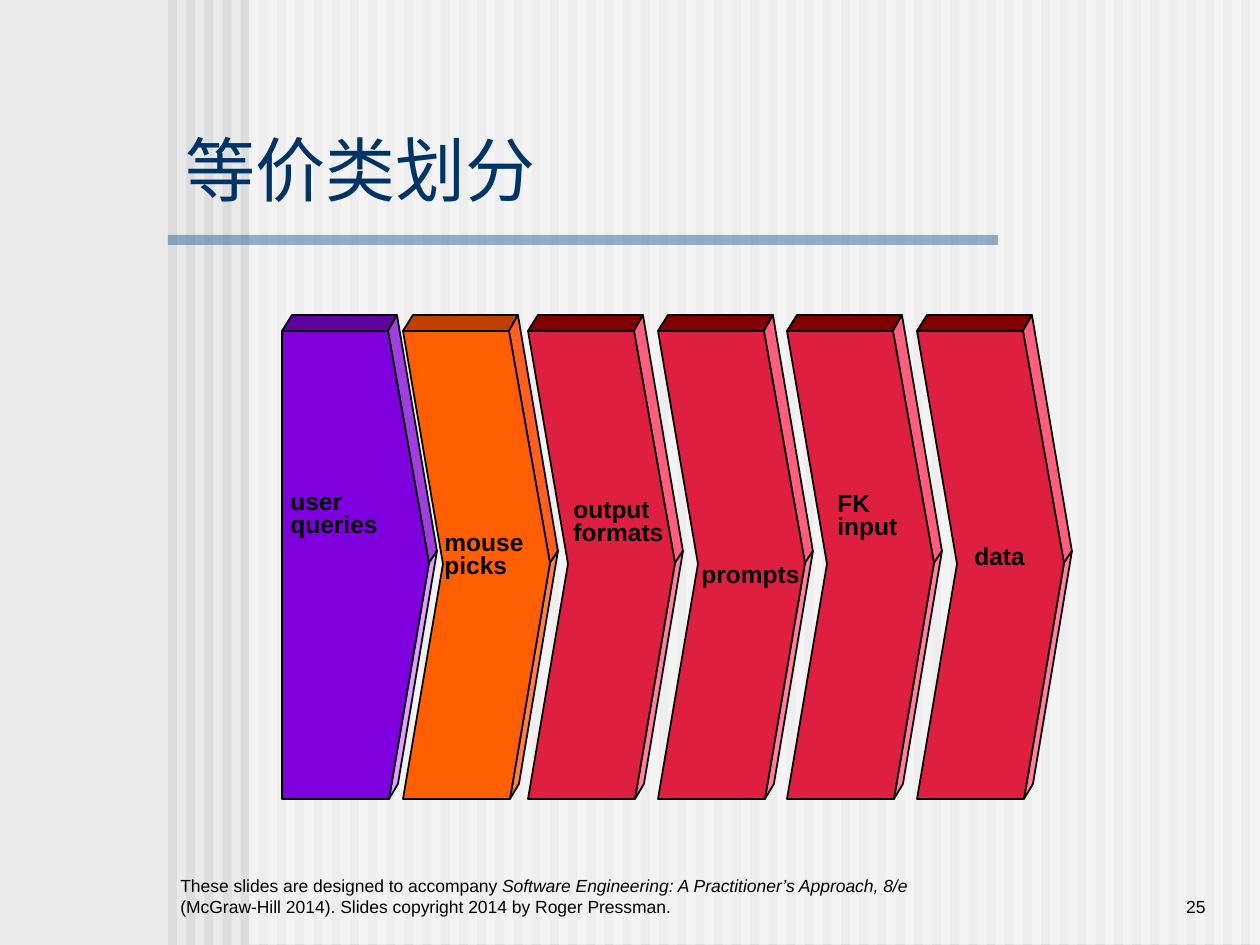
"""Build the equivalence partitioning slide with its row of solid chevrons."""
from lxml.etree import SubElement
from pptx import Presentation
from pptx.dml.color import RGBColor
from pptx.enum.shapes import MSO_SHAPE
from pptx.enum.text import MSO_ANCHOR, MSO_AUTO_SIZE, PP_ALIGN
from pptx.oxml.ns import qn
from pptx.util import Pt

PX = 914400 / 126
WIDTH, HEIGHT = 1260, 945
FONT = "Arial"

BLACK = RGBColor(0x00, 0x00, 0x00)
WHITE = RGBColor(0xFF, 0xFF, 0xFF)
BACKDROP = RGBColor(0xEA, 0xEA, 0xEA)
STRIPE = RGBColor(0xDD, 0xDD, 0xDD)
RULE = RGBColor(0x33, 0x66, 0x99)
NAVY = RGBColor(0x00, 0x33, 0x66)

PURPLE = [RGBColor.from_string(c) for c in ("5F009F", "9F3FDF", "DF9FFF", "7F00DF")]
ORANGE = [RGBColor.from_string(c) for c in ("BF3F00", "FF5F1F", "FF7F3F", "FF5F00")]
RED = [RGBColor.from_string(c) for c in ("800000", "FF5F7F", "FF7F9F", "DF1F3F")]

TITLE = "等价类划分"
CREDIT = [
    ("These slides are designed to accompany ", False),
    ("Software Engineering: A Practitioner’s Approach, 8/e ", True),
    ("(McGraw-Hill 2014). Slides copyright 2014 by Roger Pressman.", False),
]
PAGE_NUMBER = [("25", False)]

CHEVRONS = [
    (282, PURPLE, 0),
    (403, ORANGE, 40),
    (528, RED, 40),
    (658, RED, 40),
    (787, RED, 40),
    (917, RED, 40),
]
LABELS = [
    ("user\nqueries", (278, 485, 116, 59)),
    ("mouse\npicks", (432, 526, 107, 59)),
    ("output\nformats", (561, 493, 119, 59)),
    ("prompts", (689, 558, 126, 36)),
    ("FK\ninput", (825, 487, 88, 59)),
    ("data", (962, 540, 78, 36)),
]

STRIPE_COUNT, STRIPE_LEFT, STRIPE_PITCH, STRIPE_WIDTH = 60, 168, 18.19, 9


def emu(*lengths):
    return [round(length * PX) for length in lengths]


def add_band(slide, box, color, opacity=100):
    band = slide.shapes.add_shape(MSO_SHAPE.RECTANGLE, *emu(*box))
    band.shadow.inherit = False
    band.line.fill.background()
    band.fill.solid()
    band.fill.fore_color.rgb = color
    if opacity < 100:
        srgb = band.fill._xPr.find(".//" + qn("a:srgbClr"))
        SubElement(srgb, qn("a:alpha"), val=str(opacity * 1000))


def add_face(slide, left, points, color):
    start, *rest = [(left + x, y) for x, y in points]
    builder = slide.shapes.build_freeform(*start, scale=PX)
    builder.add_line_segments(rest, close=True)
    face = builder.convert_to_shape()
    face.shadow.inherit = False
    face.fill.solid()
    face.fill.fore_color.rgb = color
    face.line.color.rgb = BLACK
    face.line.width = Pt(1)


def add_chevron(slide, left, colors, notch):
    front_corner, back_corner = (106, 331), (115, 315)
    front_tip, back_tip = (147, 563), (155, 551)
    front_foot, back_foot = (107, 799), (116, 784)
    faces = [
        [front_corner, (0, 331), (10, 315), back_corner],
        [back_corner, front_corner, front_tip, back_tip],
        [back_tip, front_tip, front_foot, back_foot],
        [front_corner, (0, 331), (notch, 564), (0, 799), front_foot, front_tip],
    ]
    for points, color in zip(faces, colors):
        add_face(slide, left, points, color)


def style(font, size, color=BLACK, bold=False, italic=False):
    font.name, font.size, font.bold, font.italic = FONT, Pt(size), bold, italic
    font.color.rgb = color


def add_footer(slide, pieces, box, align):
    frame = slide.shapes.add_textbox(*emu(*box)).text_frame
    frame.word_wrap = True
    frame.vertical_anchor = MSO_ANCHOR.BOTTOM
    paragraph = frame.paragraphs[0]
    paragraph.alignment = align
    for words, italic in pieces:
        run = paragraph.add_run()
        run.text = words
        style(run.font, 10, italic=italic)


def add_label(slide, words, box):
    frame = slide.shapes.add_textbox(*emu(*box)).text_frame
    frame.word_wrap = False
    frame.auto_size = MSO_AUTO_SIZE.SHAPE_TO_FIT_TEXT
    frame.text = words
    for paragraph in frame.paragraphs:
        paragraph.line_spacing = 0.8
        style(paragraph.runs[0].font, 14, bold=True)


def set_title(slide):
    title = slide.shapes.title
    title.left, title.top, title.width, title.height = emu(173, 126, 852, 86)
    frame = title.text_frame
    frame.text = TITLE
    frame.auto_size = MSO_AUTO_SIZE.NONE
    frame.vertical_anchor = MSO_ANCHOR.MIDDLE
    frame.paragraphs[0].alignment = PP_ALIGN.LEFT
    style(frame.paragraphs[0].runs[0].font, 40, NAVY)


def main():
    deck = Presentation()
    deck.slide_width, deck.slide_height = emu(WIDTH, HEIGHT)
    slide = deck.slides.add_slide(deck.slide_layouts[5])
    slide.background.fill.solid()
    slide.background.fill.fore_color.rgb = BACKDROP

    for index in range(STRIPE_COUNT):
        left = STRIPE_LEFT + index * STRIPE_PITCH
        add_band(slide, (left, 0, STRIPE_WIDTH, HEIGHT), STRIPE)
    add_band(slide, (249, 0, WIDTH - 249, HEIGHT - 1), WHITE, opacity=50)
    add_band(slide, (168, 235, 830, 10), RULE, opacity=50)

    set_title(slide)
    slide.shapes._spTree.append(slide.shapes.title._element)
    add_footer(slide, CREDIT, (168, 860, 756, 63), PP_ALIGN.LEFT)
    add_footer(slide, PAGE_NUMBER, (1039, 860, 179, 63), PP_ALIGN.RIGHT)
    for left, colors, notch in CHEVRONS:
        add_chevron(slide, left, colors, notch)
    for words, box in LABELS:
        add_label(slide, words, box)
    deck.save("out.pptx")


if __name__ == "__main__":
    main()
